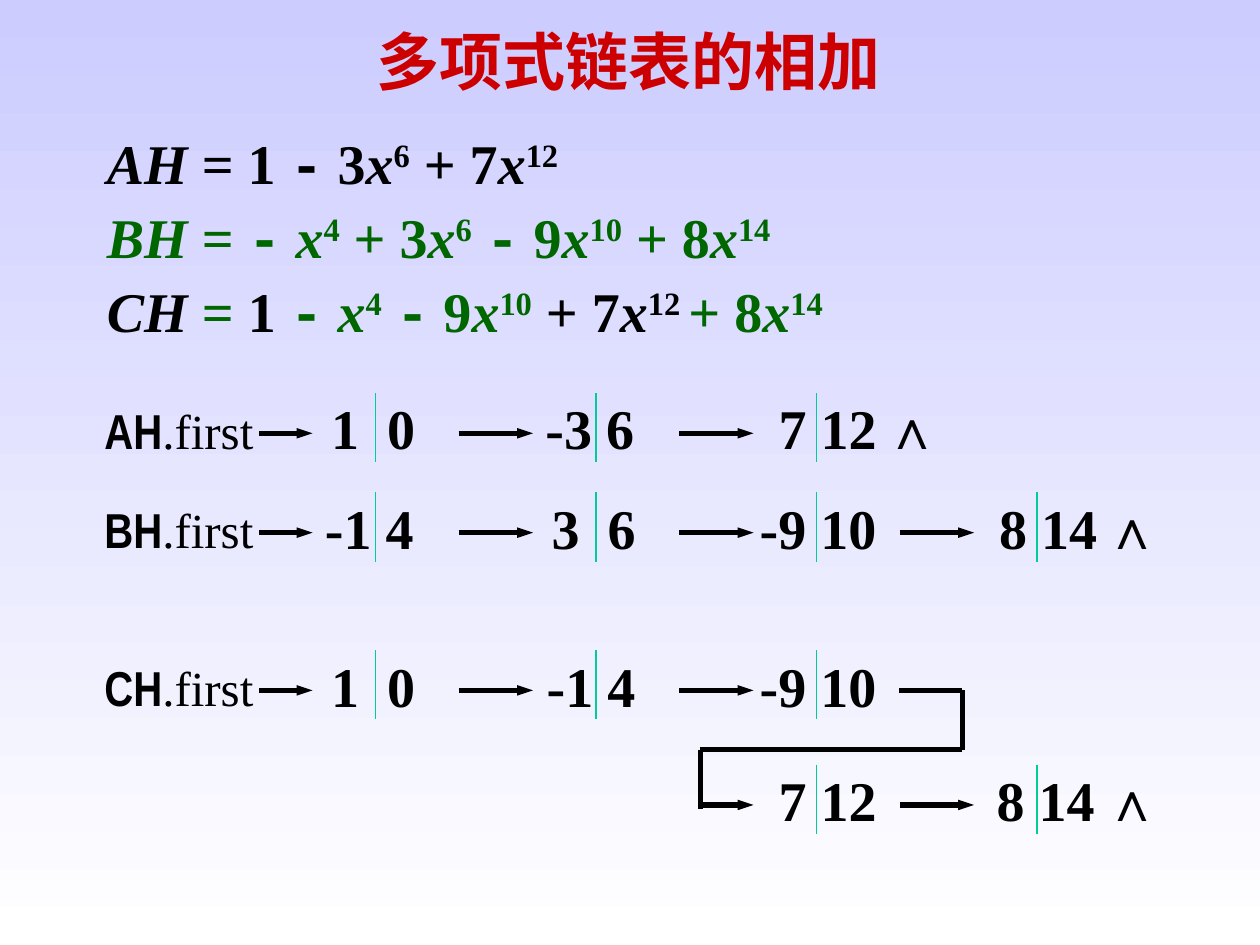
import pptx
import pptx.util
import pptx.dml.color
import pptx.enum.shapes
import pptx.enum.text
import pptx.oxml
import pptx.oxml.ns
import lxml.etree

Pt = pptx.util.Pt
ALIGN = pptx.enum.text.PP_ALIGN
COLOURS = {"black": "000000", "red": "CC0000", "green": "006600",
           "divider": "00CC99", "sky": "CCCCFF", "white": "FFFFFF"}
SERIF, NARROW, MONO = "Times New Roman", "Arial Narrow", "Courier New"


def write(para, text, size=32, font=SERIF, colour="black", bold=True, italic=False, raised=False):
    span = para.add_run()
    span.text = text
    span.font.size = Pt(size)
    span.font.name = font
    span.font.bold = bold
    span.font.italic = italic
    span.font.color.rgb = pptx.dml.color.RGBColor.from_string(COLOURS[colour])
    if raised:
        span.font._element.set("baseline", "30000")


def draw_line(start, end, colour="black", width=3, arrow=False):
    line = page.shapes.add_connector(
        pptx.enum.shapes.MSO_CONNECTOR.STRAIGHT, *(Pt(value) for value in start + end))
    line.line.color.rgb = pptx.dml.color.RGBColor.from_string(COLOURS[colour])
    line.line.width = Pt(width)
    if arrow:
        lxml.etree.SubElement(line.line._get_or_add_ln(), pptx.oxml.ns.qn("a:tailEnd"),
                              type="triangle", w="sm", len="med")
    lxml.etree.SubElement(line._element.spPr, pptx.oxml.ns.qn("a:effectLst"))


deck = pptx.Presentation()
deck.slide_width, deck.slide_height = Pt(720), Pt(540)
page = deck.slides.add_slide(deck.slide_layouts[5])

backdrop = page.background.fill
backdrop.gradient()
backdrop.gradient_angle = 270
for stop, colour in zip(backdrop.gradient_stops, ("sky", "white")):
    stop.color.rgb = pptx.dml.color.RGBColor.from_string(COLOURS[colour])

title = page.shapes.title
title.left, title.top, title.width, title.height = Pt(35.3), Pt(3.6), Pt(648), Pt(62)
title.text_frame.vertical_anchor = pptx.enum.text.MSO_ANCHOR.MIDDLE
title.text_frame.paragraphs[0].alignment = ALIGN.CENTER
write(title.text_frame.paragraphs[0], "多项式链表的相加", size=36, colour="red")

STYLES = {"plain": {}, "italic": {"italic": True}, "power": {"raised": True}, "minus": {"font": MONO}}
formulas = [
    [("black", [("AH", "italic"), (" = 1 ", "plain"), ("-", "minus"), (" 3", "plain"),
                ("x", "italic"), ("6", "power"), (" + 7", "plain"), ("x", "italic"), ("12", "power")])],
    [("green", [("BH", "italic"), (" = ", "plain"), ("-", "minus"), (" ", "plain"),
                ("x", "italic"), ("4", "power"), (" + 3", "plain"), ("x", "italic"), ("6", "power"),
                (" ", "plain"), ("-", "minus"), (" 9", "plain"), ("x", "italic"), ("10", "power"),
                (" + 8", "plain"), ("x", "italic"), ("14", "power")])],
    [("black", [("CH ", "italic")]),
     ("green", [("= ", "plain")]),
     ("black", [("1 ", "plain")]),
     ("green", [("-", "minus"), (" ", "plain"), ("x", "italic"), ("4", "power"), (" ", "plain"),
                ("-", "minus"), (" 9", "plain"), ("x", "italic"), ("10", "power")]),
     ("black", [(" + 7", "plain"), ("x", "italic"), ("12 ", "power")]),
     ("green", [("+ 8", "plain"), ("x", "italic"), ("14", "power")])],
]
box = page.shapes.add_textbox(Pt(54), Pt(66), Pt(648), Pt(306))
box.text_frame.word_wrap = True
for index, formula in enumerate(formulas):
    para = box.text_frame.paragraphs[0] if index == 0 else box.text_frame.add_paragraph()
    para.line_spacing = 1.1
    for colour, parts in formula:
        for text, style in parts:
            write(para, text, colour=colour, **STYLES[style])

FIRST_DIVIDER, COLUMN_STEP, DIVIDER_HEIGHT, ARROW_DROP = 214.6, 126, 39.6, 23
chains = [
    ("AH", 224.6, 0, [("1\t0", 32.4, 64), ("-3 6", 36, 67), ("7 12", 28.8, 72)], True),
    ("BH", 281.4, 0, [("-1 4", 36, 67), ("3\t6", 32.4, 64), ("-9 10", 39.6, 83),
                      ("8 14", 28.8, 72)], True),
    ("CH", 371.5, 0, [("1\t0", 32.4, 64), ("-1 4", 35.3, 67), ("-9 10", 39.6, 83)], False),
    (None, 437, 2, [("7 12", 28.8, 72), ("8 14", 30.2, 72)], True),
]
for name, top, first_column, nodes, ends_here in chains:
    middle = top + ARROW_DROP
    labels = []
    if name:
        labels.append(([(name, {"font": NARROW}), (".first", {"bold": False})], 28, 52.6, top + 0.7, 101, 41))
    divider = FIRST_DIVIDER + first_column * COLUMN_STEP
    draw_line((divider - 66.3, middle), (divider - 36, middle), arrow=True)
    for index, (text, offset, width) in enumerate(nodes):
        divider = FIRST_DIVIDER + (first_column + index) * COLUMN_STEP
        draw_line((divider, top), (divider, top + DIVIDER_HEIGHT), colour="divider", width=0.75)
        labels.append(([(text, {})], 32, divider - offset, top - 3, width, 45.4))
        if index < len(nodes) - 1:
            draw_line((divider + 47.5, middle), (divider + 90, middle), arrow=True)
    if ends_here:
        labels.append(([("∧", {})], 32, divider + 31.7, top - 3, 33.8, 45.4))
    for parts, size, left, label_top, width, height in labels:
        box = page.shapes.add_textbox(Pt(left), Pt(label_top), Pt(width), Pt(height))
        box.text_frame.word_wrap = False
        box.text_frame.auto_size = pptx.enum.text.MSO_AUTO_SIZE.SHAPE_TO_FIT_TEXT
        para = box.text_frame.paragraphs[0]
        para.alignment = ALIGN.LEFT
        if "\t" in parts[0][0]:
            tabs = lxml.etree.SubElement(para._p.get_or_add_pPr(), pptx.oxml.ns.qn("a:tabLst"))
            lxml.etree.SubElement(tabs, pptx.oxml.ns.qn("a:tab"), pos=str(Pt(32)), algn="l")
        for text, style in parts:
            write(para, text, size=size, **style)

bend = [(514, 394.5), (550, 394.5), (550, 428.4), (400.3, 428.4), (400.3, 462.2)]
for start, end in zip(bend, bend[1:]):
    draw_line(start, end)

deck.save("out.pptx")
